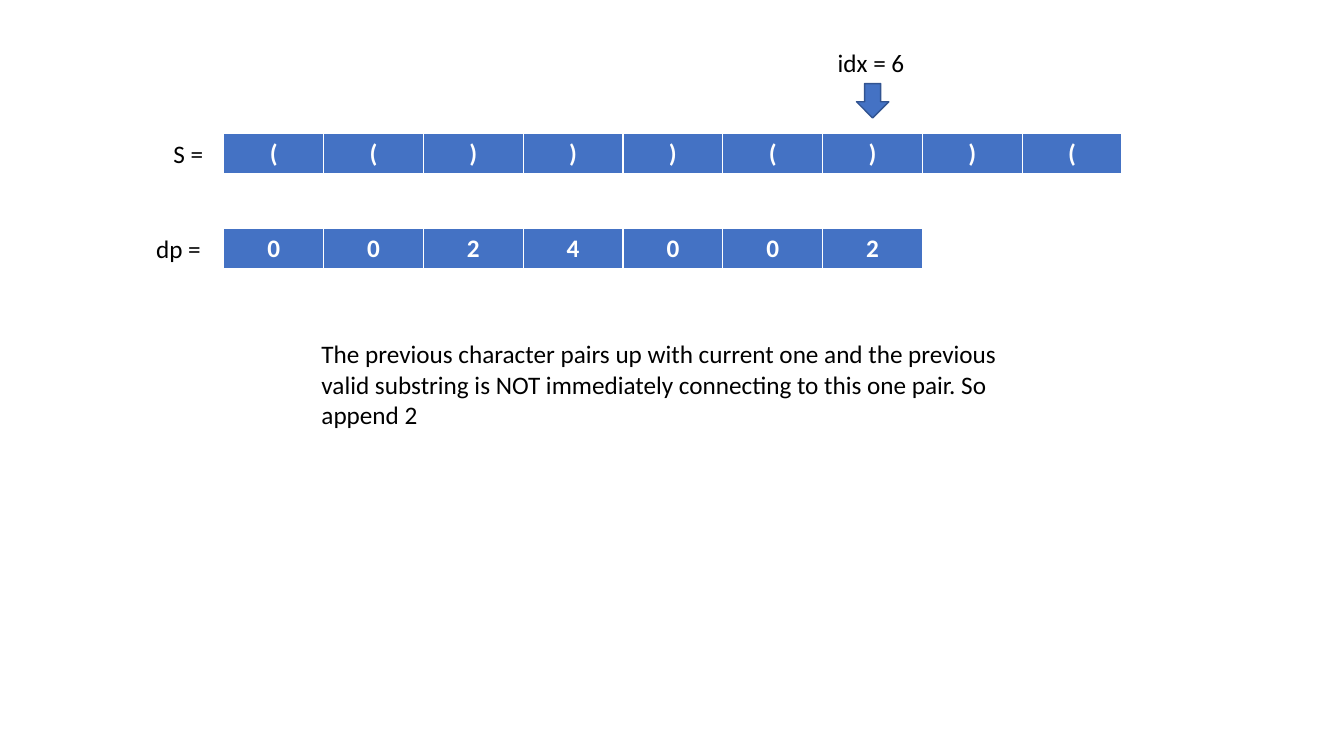
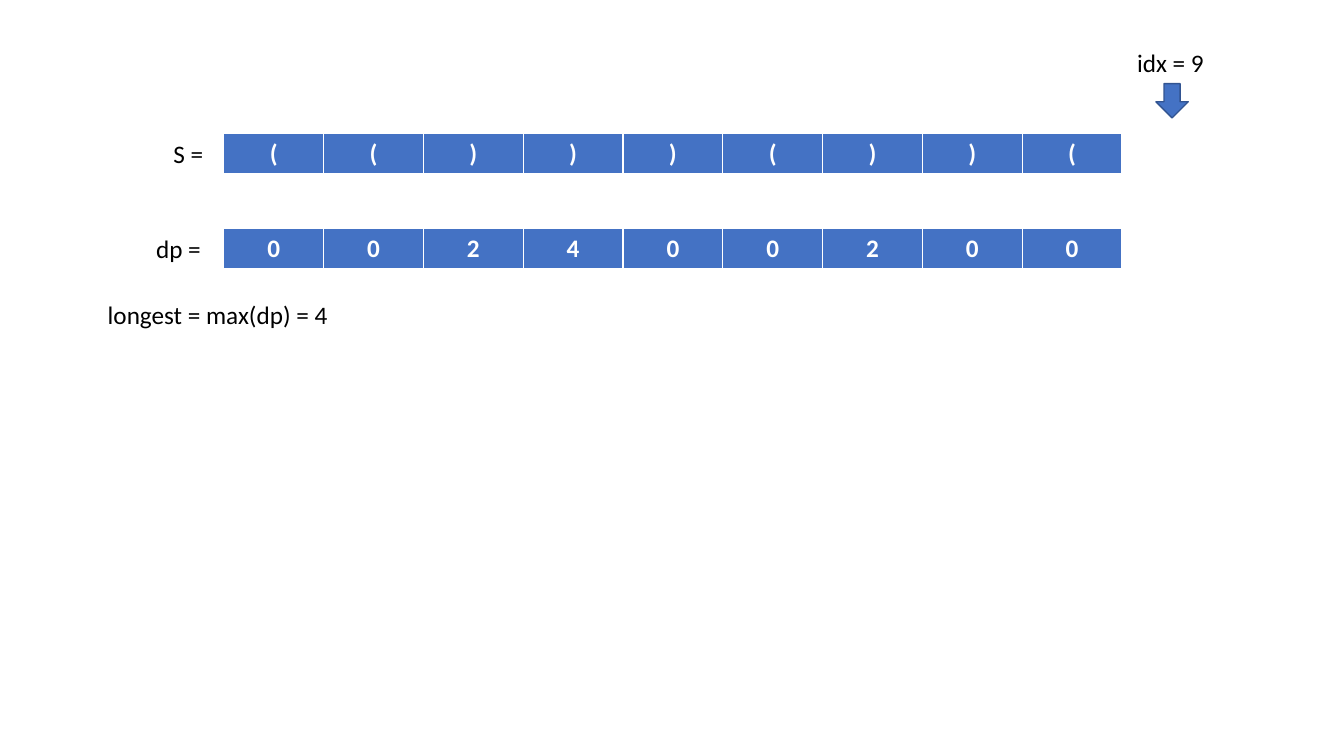
"""Build two slides that trace the longest valid parentheses algorithm."""
from dataclasses import dataclass

import lxml.etree
import pptx
import pptx.dml.color
import pptx.enum.shapes
import pptx.enum.text
import pptx.oxml.ns
import pptx.shapes.shapetree
import pptx.slide
import pptx.util

Inches = pptx.util.Inches
Pt = pptx.util.Pt
RGBColor = pptx.dml.color.RGBColor
qn = pptx.oxml.ns.qn

BLUE = RGBColor(0x44, 0x72, 0xC4)
DARK_BLUE = RGBColor(0x32, 0x54, 0x91)
WHITE = RGBColor(0xFF, 0xFF, 0xFF)
BLACK = RGBColor(0x00, 0x00, 0x00)
FONT = "Calibri"
SIZE = Pt(18)

CELL_W, ROW_H, LABEL_H = 0.99, 0.41, 0.4
ARRAY_LEFT, S_TOP, DP_TOP = 2.22, 1.32, 2.27
ARROW_W, ARROW_H, ARROW_TOP = 0.32, 0.34, 0.83
INDEX_W, INDEX_TOP = 0.89, 0.42
BORDERS = {"a:lnL": 1, "a:lnR": 1, "a:lnT": 1, "a:lnB": 3}


@dataclass(frozen=True)
class Label:
    text: str
    left: float
    top: float
    width: float
    height: float = LABEL_H


@dataclass(frozen=True)
class Step:
    index: int
    dp: str
    note: Label


SEQUENCE = "(()))())("
ARRAY_LABELS = (Label("S =", 1.62, S_TOP, 0.61), Label("dp =", 1.45, DP_TOP, 1.17))
STEPS = (
    Step(6, "0024002", Label(
        "The previous character pairs up with current one and the previous "
        "valid substring is NOT immediately connecting to this one pair. "
        "So append 2", 3.09, 3.31, 7, 1.01)),
    Step(9, "002400200", Label("longest = max(dp) = 4", 0.97, 2.92, 2.78)),
)


def style_font(font: pptx.text.text.Font, color: RGBColor, bold: bool = False) -> None:
    font.name, font.size, font.bold = FONT, SIZE, bold
    font.color.rgb = color


def add_label(shapes: pptx.shapes.shapetree.GroupShapes, label: Label) -> None:
    box = shapes.add_textbox(Inches(label.left), Inches(label.top),
                             Inches(label.width), Inches(label.height))
    tf = box.text_frame
    tf.word_wrap = True
    tf.text = label.text
    style_font(tf.paragraphs[0].font, BLACK)


def add_borders(cell: pptx.table._Cell) -> None:
    tc_pr = cell._tc.get_or_add_tcPr()
    for tag, width in BORDERS.items():
        line = lxml.etree.SubElement(tc_pr, qn(tag), w=str(Pt(width)))
        fill = lxml.etree.SubElement(line, qn("a:solidFill"))
        lxml.etree.SubElement(fill, qn("a:srgbClr"), val=str(WHITE))


def add_array(s: pptx.slide.Slide, values: str, top: float) -> None:
    frame = s.shapes.add_table(1, len(values), Inches(ARRAY_LEFT), Inches(top),
                               Inches(CELL_W * len(values)), Inches(ROW_H))
    for cell, value in zip(frame.table.iter_cells(), values):
        add_borders(cell)
        cell.fill.solid()
        cell.fill.fore_color.rgb = BLUE
        cell.text = value
        p = cell.text_frame.paragraphs[0]
        p.alignment = pptx.enum.text.PP_ALIGN.CENTER
        style_font(p.font, WHITE, bold=True)


def add_pointer(s: pptx.slide.Slide, index: int) -> None:
    center = ARRAY_LEFT + CELL_W * (index + 0.5)
    group = s.shapes.add_group_shape()
    arrow = group.shapes.add_shape(
        pptx.enum.shapes.MSO_SHAPE.DOWN_ARROW, Inches(center - ARROW_W / 2),
        Inches(ARROW_TOP), Inches(ARROW_W), Inches(ARROW_H))
    arrow.shadow.inherit = False
    arrow.fill.solid()
    arrow.fill.fore_color.rgb = BLUE
    arrow.line.color.rgb = DARK_BLUE
    arrow.line.width = Pt(1)
    add_label(group.shapes, Label(f"idx = {index}", center - INDEX_W / 2,
                                  INDEX_TOP, INDEX_W))


def add_step(prs: pptx.presentation.Presentation, step: Step) -> None:
    s = prs.slides.add_slide(prs.slide_layouts.get_by_name("Blank"))
    add_array(s, SEQUENCE, S_TOP)
    for label in ARRAY_LABELS:
        add_label(s.shapes, label)
    add_pointer(s, step.index)
    add_array(s, step.dp, DP_TOP)
    add_label(s.shapes, step.note)


prs = pptx.Presentation()
prs.slide_width, prs.slide_height = Inches(13.33), Inches(7.5)
for step in STEPS:
    add_step(prs, step)
prs.save("out.pptx")
